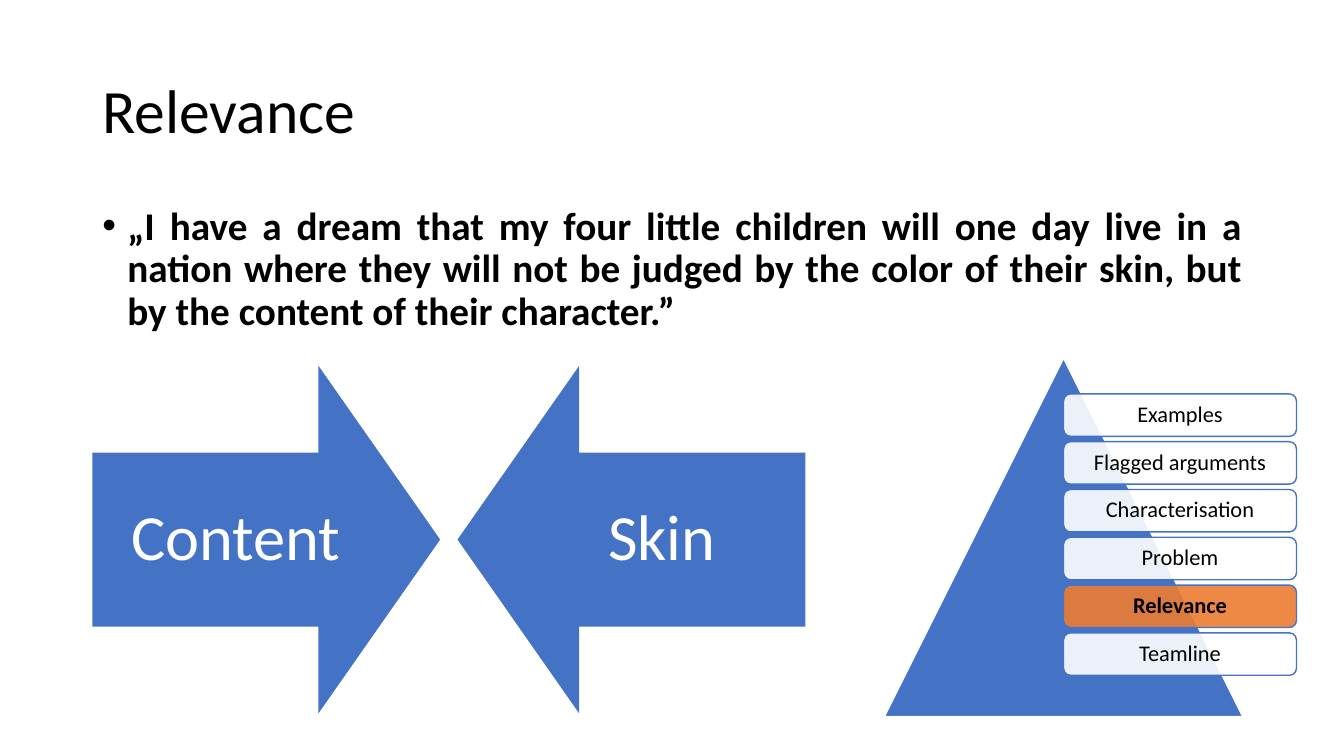
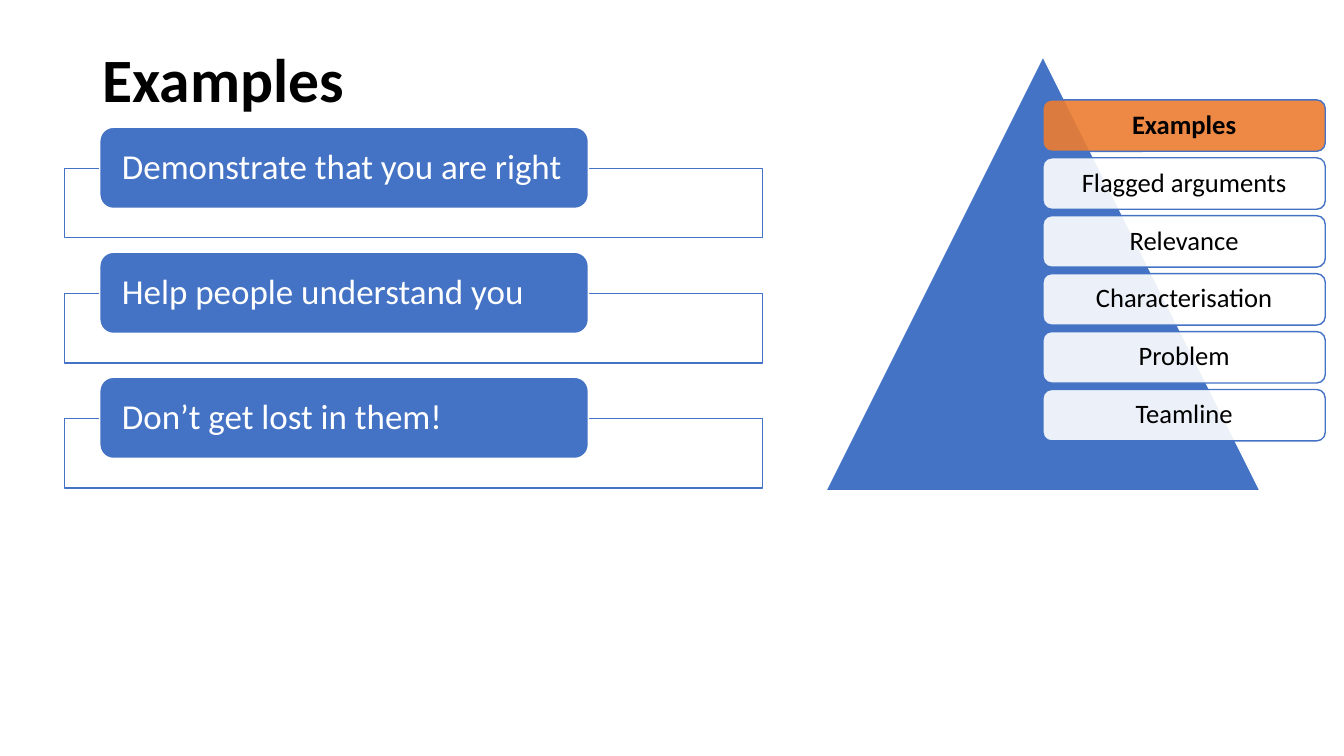
from lxml import etree
from pptx import Presentation
from pptx.dml.color import RGBColor
from pptx.enum.shapes import MSO_SHAPE
from pptx.enum.text import MSO_ANCHOR, PP_ALIGN
from pptx.oxml.ns import qn
from pptx.util import Pt

BLACK = RGBColor(0x00, 0x00, 0x00)
WHITE = RGBColor(0xFF, 0xFF, 0xFF)
BLUE = RGBColor(0x44, 0x72, 0xC4)
ORANGE = RGBColor(0xED, 0x7D, 0x31)

TRIANGLE = MSO_SHAPE.ISOSCELES_TRIANGLE
RECTANGLE = MSO_SHAPE.RECTANGLE
ROUNDED = MSO_SHAPE.ROUNDED_RECTANGLE
RIGHT_ARROW = MSO_SHAPE.RIGHT_ARROW
LEFT_ARROW = MSO_SHAPE.LEFT_ARROW
LEFT, CENTER, JUSTIFY = PP_ALIGN.LEFT, PP_ALIGN.CENTER, PP_ALIGN.JUSTIFY
TOP, MIDDLE = MSO_ANCHOR.TOP, MSO_ANCHOR.MIDDLE

FONT = "Calibri"
MARGIN = 66
CONTENT_WIDTH = 828


class Deck:
    def __init__(self):
        self.presentation = Presentation()
        self.presentation.slide_width = Pt(960)
        self.presentation.slide_height = Pt(540)
        self.slide = None

    def new_slide(self, title, title_top, bold=False):
        layout = self.presentation.slide_layouts[6]
        self.slide = self.presentation.slides.add_slide(layout)
        self.text_box(title, title_top, 104.4, 44, bold, MIDDLE)

    def set_text(self, shape, text, size, color, bold=False, align=LEFT,
                 anchor=MIDDLE, insets=(7.2, 3.6, 7.2, 3.6)):
        """Fill a shape with one styled paragraph; insets run left, top, right, bottom."""
        frame = shape.text_frame
        frame.text = text
        frame.word_wrap = True
        frame.vertical_anchor = anchor
        (frame.margin_left, frame.margin_top,
         frame.margin_right, frame.margin_bottom) = map(Pt, insets)
        paragraph = frame.paragraphs[0]
        paragraph.alignment = align
        paragraph.line_spacing = 0.9
        font = paragraph.runs[0].font
        font.name, font.size, font.bold = FONT, Pt(size), bold
        font.color.rgb = color
        return paragraph

    def text_box(self, text, top, height, size, bold, anchor, align=LEFT):
        box = self.slide.shapes.add_textbox(
            Pt(MARGIN), Pt(top), Pt(CONTENT_WIDTH), Pt(height))
        return self.set_text(box, text, size, BLACK, bold, align, anchor)

    def bullet(self, text):
        paragraph = self.text_box(text, 144, 342.7, 28, True, TOP, JUSTIFY)
        paragraph.space_before = Pt(10)
        properties = paragraph._p.get_or_add_pPr()
        properties.set("marL", str(Pt(18)))
        properties.set("indent", str(-Pt(18)))
        etree.SubElement(properties, qn("a:buFont"), typeface="Arial")
        etree.SubElement(properties, qn("a:buChar"), char="•")

    def shape(self, kind, left, top, width, height, fill, line=None, opacity=100):
        shape = self.slide.shapes.add_shape(
            kind, Pt(left), Pt(top), Pt(width), Pt(height))
        shape.shadow.inherit = False
        shape.fill.solid()
        shape.fill.fore_color.rgb = fill
        if opacity < 100:
            color = shape._element.spPr.find(qn("a:solidFill"))[0]
            etree.SubElement(color, qn("a:alpha"), val=str(opacity * 1000))
        if line is None:
            shape.line.fill.background()
        else:
            shape.line.color.rgb = line
            shape.line.width = Pt(1)
        return shape

    def pyramid(self, left, top, side, size, labels, current):
        """Draw a triangle with a column of labels, the current one highlighted."""
        self.shape(TRIANGLE, left, top, side, side, BLUE, WHITE)
        pitch = 0.8 * side / len(labels)
        for row, label in enumerate(labels):
            active = label == current
            box = self.shape(ROUNDED, left + side / 2, top + 0.1 * side + row * pitch,
                             0.65 * side, pitch * 8 / 9,
                             ORANGE if active else WHITE, BLUE, 90)
            self.set_text(box, label, size, BLACK, active, CENTER)

    def arrow(self, kind, left, text):
        arrow = self.shape(kind, left, 261.2, 248.4, 248.4, BLUE)
        arrow.adjustments[0] = 0.5
        arrow.adjustments[1] = 0.35
        self.set_text(arrow, text, 46, WHITE, align=CENTER, insets=(22, 22, 22, 22))

    def framed_list(self, items):
        """Stack outlined frames, each with a filled label over its top edge."""
        for row, text in enumerate(items):
            top = 90.9 + row * 89.3
            self.shape(RECTANGLE, 46.3, top + 29.3, 498.2, 49.7, WHITE, BLUE, 90)
            label = self.shape(ROUNDED, 71.3, top, 349, 58, BLUE, WHITE)
            self.set_text(label, text, 25, WHITE, insets=(13, 0, 0, 0))


def main():
    deck = Deck()

    deck.new_slide("Relevance", 28.8)
    deck.bullet("„I have a dream that my four little children will one day live in a "
                "nation where they will not be judged by the color of their skin, "
                "but by the content of their character.”")
    deck.pyramid(631.7, 255.8, 256, 16,
                 ["Examples", "Flagged arguments", "Characterisation",
                  "Problem", "Relevance", "Teamline"], "Relevance")
    deck.arrow(RIGHT_ARROW, MARGIN, "Content")
    deck.arrow(LEFT_ARROW, 326.8, "Skin")

    deck.new_slide("Examples", 6.5, bold=True)
    deck.pyramid(589.8, 40.3, 310.3, 19,
                 ["Examples", "Flagged arguments", "Relevance",
                  "Characterisation", "Problem", "Teamline"], "Examples")
    deck.framed_list(["Demonstrate that you are right",
                      "Help people understand you",
                      "Don’t get lost in them!"])

    deck.presentation.save("out.pptx")


if __name__ == "__main__":
    main()
